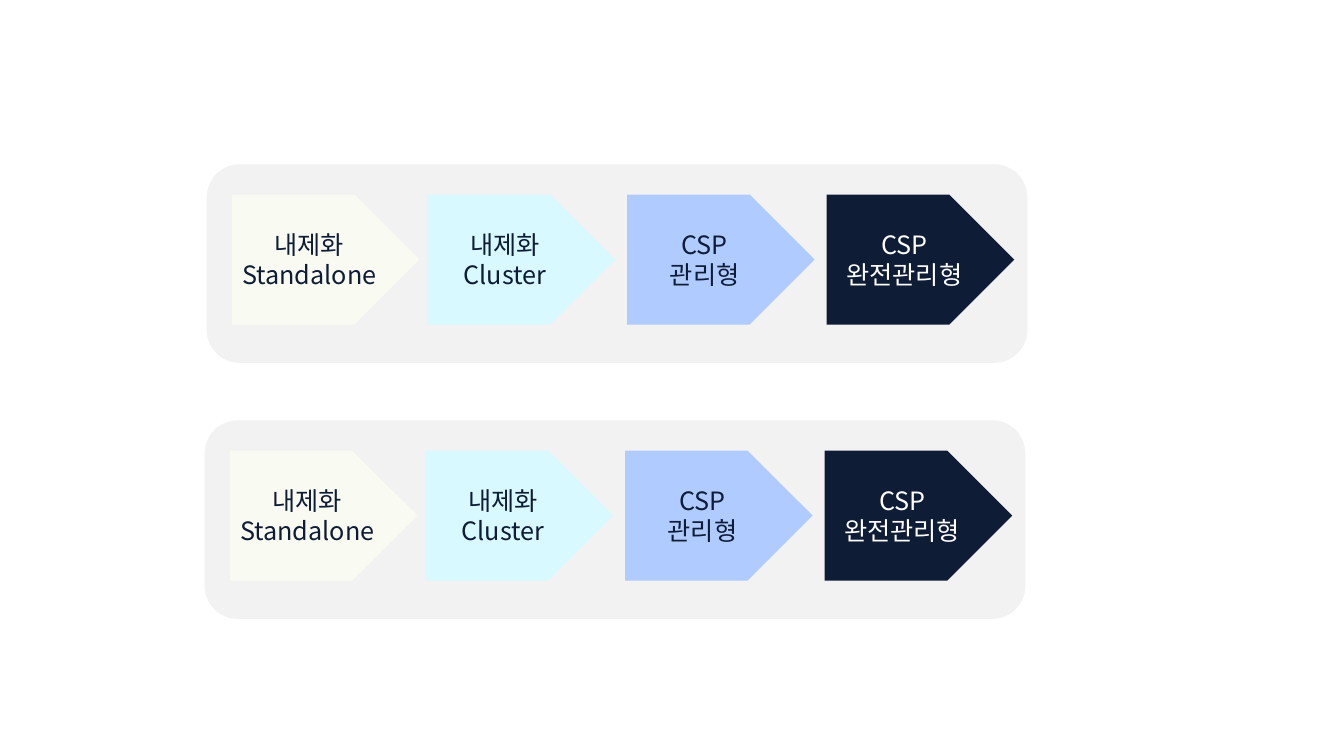
from dataclasses import dataclass

from lxml import etree
from pptx import Presentation
from pptx.dml.color import RGBColor
from pptx.enum.shapes import MSO_SHAPE
from pptx.enum.text import MSO_ANCHOR, PP_ALIGN
from pptx.oxml.ns import qn
from pptx.util import Inches, Pt

ROUNDED = MSO_SHAPE.ROUNDED_RECTANGLE
HOME_PLATE = MSO_SHAPE.PENTAGON
MIDDLE = MSO_ANCHOR.MIDDLE
CENTER = PP_ALIGN.CENTER


@dataclass(frozen=True)
class Theme:
    """Colours, font and type size of the slide."""

    panel: str = "F2F2F2"
    ivory: str = "F9FBF2"
    cyan: str = "D7F9FF"
    blue: str = "AFCBFF"
    navy: str = "0E1C36"
    white: str = "FFFFFF"
    font: str = "Noto Sans CJK KR"
    label_size: int = 18


THEME = Theme()
PANEL_SIZE = (8.14, 1.97)
PANEL_ORIGINS = [(2.05, 1.63), (2.03, 4.17)]
STAGE_SIZE = (1.86, 1.29)
STAGE_TOP = 0.3
STAGES = [
    (0.25, "내제화\nStandalone", THEME.ivory, THEME.navy),
    (2.19, "내제화\nCluster", THEME.cyan, THEME.navy),
    (4.17, "CSP\n관리형", THEME.blue, THEME.navy),
    (6.15, "CSP\n완전관리형", THEME.navy, THEME.white),
]


def add_filled_shape(shapes, preset, box, color):
    """Add a flat preset shape without outline or shadow."""
    shape = shapes.add_shape(preset, *(Inches(length) for length in box))
    shape.shadow.inherit = False
    shape.fill.solid()
    shape.fill.fore_color.rgb = RGBColor.from_string(color)
    shape.line.fill.background()
    return shape


def write_label(shape, text, color):
    """Write centred lines in the theme font, Korean glyphs included."""
    frame = shape.text_frame
    frame.text = text
    frame.word_wrap = True
    frame.vertical_anchor = MIDDLE
    frame.margin_left = frame.margin_right = Inches(0.05)
    for paragraph in frame.paragraphs:
        paragraph.alignment = CENTER
        for run in paragraph.runs:
            run.font.name = THEME.font
            run.font.size = Pt(THEME.label_size)
            run.font.color.rgb = RGBColor.from_string(color)
            east_asian = etree.SubElement(run.font._element, qn("a:ea"))
            east_asian.set("typeface", THEME.font)


def add_stage_panel(slide, left, top):
    """Group a rounded panel with its row of stage arrows."""
    shapes = slide.shapes.add_group_shape().shapes
    add_filled_shape(shapes, ROUNDED, (left, top, *PANEL_SIZE), THEME.panel)
    for offset, text, fill, text_color in STAGES:
        box = (left + offset, top + STAGE_TOP, *STAGE_SIZE)
        write_label(add_filled_shape(shapes, HOME_PLATE, box, fill), text, text_color)


def main():
    """Build the slide and save it."""
    presentation = Presentation()
    presentation.slide_width = Inches(13.33)
    presentation.slide_height = Inches(7.5)
    blank_layout = presentation.slide_layouts.get_by_name("Blank")
    slide = presentation.slides.add_slide(blank_layout)
    for left, top in PANEL_ORIGINS:
        add_stage_panel(slide, left, top)
    presentation.save("out.pptx")


main()
